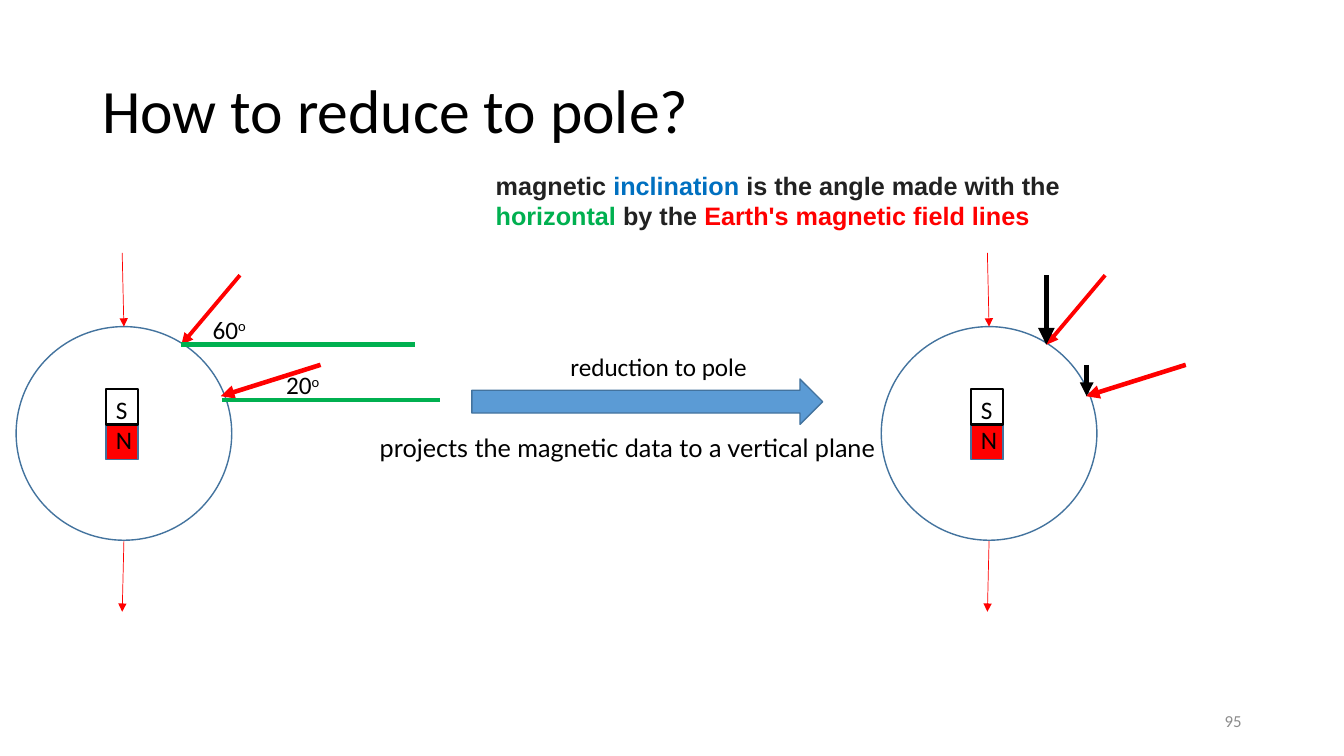
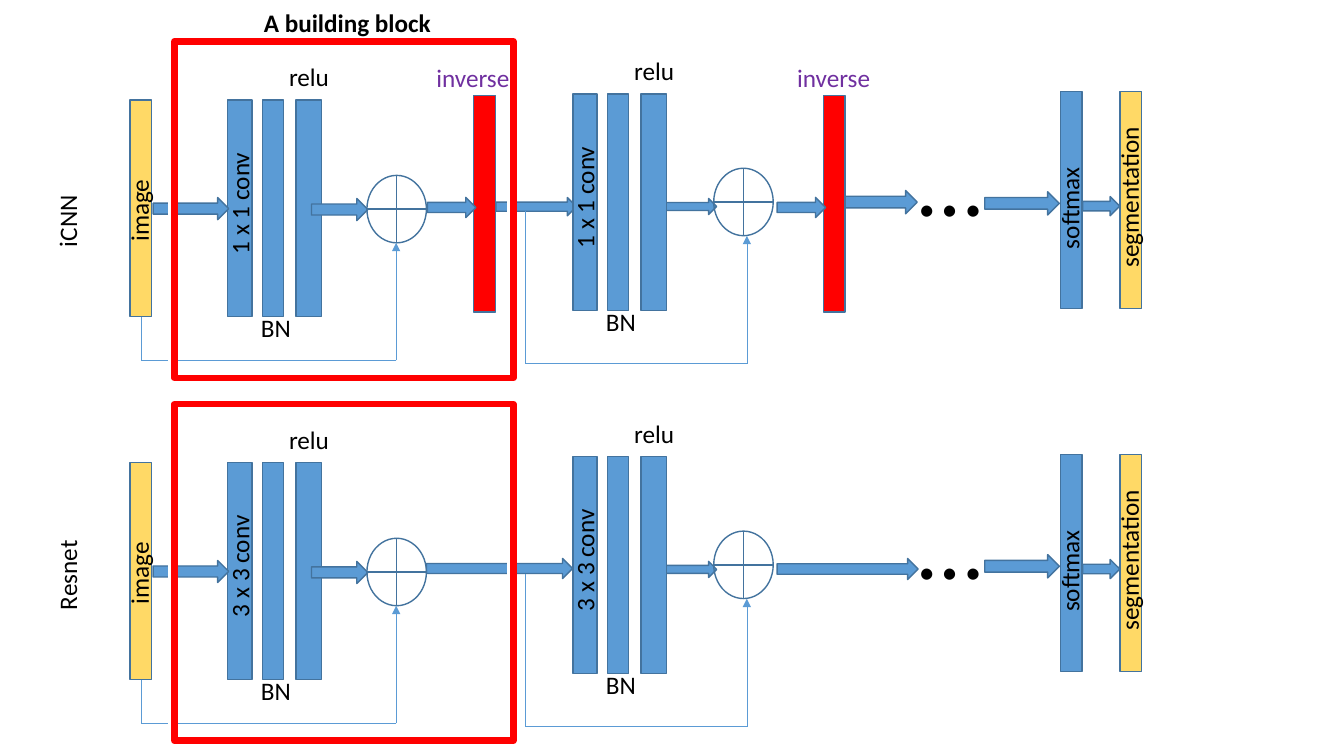
from lxml import etree
from pptx import Presentation
from pptx.dml.color import RGBColor
from pptx.enum.shapes import MSO_CONNECTOR, MSO_SHAPE
from pptx.enum.text import MSO_ANCHOR, PP_ALIGN
from pptx.oxml.ns import qn
from pptx.util import Pt

RECT = MSO_SHAPE.RECTANGLE
ARROW = MSO_SHAPE.RIGHT_ARROW
CIRCLE = MSO_SHAPE.FLOWCHART_CONNECTOR
SUM = MSO_SHAPE.FLOWCHART_OR
STRAIGHT = MSO_CONNECTOR.STRAIGHT
TOP, MIDDLE = MSO_ANCHOR.TOP, MSO_ANCHOR.MIDDLE
LEFT, RIGHT = PP_ALIGN.LEFT, PP_ALIGN.RIGHT

COLORS = {
    "black": "000000", "white": "FFFFFF", "red": "FF0000", "green": "00B050",
    "blue": "5B9BD5", "outline": "43739E", "yellow": "FFD966",
    "purple": "7030A0", "text": "222222", "inclination": "0070C0",
    "number": "8C8C8C",
}
FONT = "Calibri"
LABEL_H = 28.8
BAR_H = 154.8
FRAME = (242, 240.5)
ROW_PITCH = 259.2
EARTH_PITCH = 618


def rgb(name):
    return RGBColor.from_string(COLORS[name])


def add_shape(s, kind, x, y, w, h, fill=None, line="outline", weight=1):
    sp = s.shapes.add_shape(kind, Pt(x), Pt(y), Pt(w), Pt(h))
    sp.shadow.inherit = False
    if fill:
        sp.fill.solid()
        sp.fill.fore_color.rgb = rgb(fill)
    else:
        sp.fill.background()
    sp.line.color.rgb = rgb(line)
    sp.line.width = Pt(weight)


def add_line(s, x1, y1, x2, y2, color, weight, head=False):
    line = s.shapes.add_connector(STRAIGHT, Pt(x1), Pt(y1), Pt(x2), Pt(y2))
    line.line.color.rgb = rgb(color)
    line.line.width = Pt(weight)
    if head:
        ln = line.line._get_or_add_ln()
        etree.SubElement(ln, qn("a:tailEnd"), type="triangle")
    etree.SubElement(line._element.spPr, qn("a:effectLst"))


def add_text(s, x, y, w, h, paragraphs, size=18, color="black", font=FONT,
             bold=False, wrap=False, anchor=TOP, align=LEFT, rotation=0):
    sp = s.shapes.add_textbox(Pt(x), Pt(y), Pt(w), Pt(h))
    sp.rotation = rotation
    tf = sp.text_frame
    tf.word_wrap = wrap
    tf.vertical_anchor = anchor
    for i, text in enumerate(paragraphs):
        p = tf.paragraphs[0] if i == 0 else tf.add_paragraph()
        p.alignment = align
        p.font.size = Pt(size)
        p.font.name = font
        p.font.bold = bold
        p.font.color.rgb = rgb(color)
        p.add_run().text = text
    return tf.paragraphs[0]


def add_label(s, x, y, w, text, **style):
    return add_text(s, x, y, w, LABEL_H, [text], **style)


def add_vertical_label(s, x, y, w, text):
    add_label(s, x, y, w, text, rotation=270)


def add_title(s, text):
    p = add_text(s, 66, 28.8, 828, 104.4, [text], size=44, wrap=True,
                 anchor=MIDDLE)
    p.line_spacing = 0.9


def add_number(s, number):
    add_label(s, 678, 500.4, 216, number, size=12, color="number", wrap=True,
              anchor=MIDDLE, align=RIGHT)


def add_definition(s):
    p = add_text(s, 347, 118, 480, 51, ["magnetic "], color="text",
                 font="Arial", bold=True, wrap=True)
    for text, color in (("inclination", "inclination"),
                        (" is the angle made with the ", "text"),
                        ("horizontal", "green"),
                        (" by the ", "text"),
                        ("Earth's magnetic field lines", "red")):
        r = p.add_run()
        r.text = text
        r.font.color.rgb = rgb(color)


def add_angle(s, x, y, degrees):
    r = add_label(s, x, y, 39.6, degrees).add_run()
    r.text = "o"
    r.font._element.set("baseline", "30000")


def add_earth(s, dx):
    add_shape(s, CIRCLE, dx + 11.5, 233.3, 154, 152.6)
    add_shape(s, RECT, dx + 75.6, 303.1, 23, 25.2, "red")
    add_text(s, dx + 75.6, 278, 26, 51, ["S", "N"])
    add_shape(s, RECT, dx + 75.6, 277.9, 23, 25.2, None, "black", 1.75)
    for x1, y1, x2, y2, weight in ((88.5, 386.5, 87.3, 437, 0.5),
                                   (87.3, 180.7, 88.5, 233.3, 0.5),
                                   (229, 260.6, 157.7, 283, 3.25),
                                   (171.4, 196.6, 129.6, 246.2, 2.75)):
        add_line(s, dx + x1, y1, dx + x2, y2, "red", weight, head=True)


def add_pole_slide(prs):
    s = prs.slides.add_slide(prs.slide_layouts[6])
    add_title(s, "How to reduce to pole?")
    add_number(s, "95")
    add_definition(s)
    for dx in (0, EARTH_PITCH):
        add_earth(s, dx)
    for x1, x2, y in ((158.4, 314.6, 285.8), (129.6, 296.6, 246.2)):
        add_line(s, x1, y, x2, y, "green", 3.25)
    add_angle(s, 144.7, 221, "60")
    add_angle(s, 197.3, 260.6, "20")
    add_shape(s, ARROW, 337, 270.7, 250.6, 32.4, "blue")
    add_label(s, 400.3, 247.7, 142.6, "reduction to pole")
    add_label(s, 264.2, 305.3, 525.6,
              "projects the magnetic data to a vertical plane",
              font="Lato", wrap=True)
    for x, y1, y2, weight in ((747.4, 196.6, 246.2, 4),
                              (776.2, 260.6, 283, 3.25)):
        add_line(s, x, y1, x, y2, "black", weight, head=True)


def add_block(s, x, y, kernel):
    for dx, w in ((0, 17.3), (24.8, 15), (48.8, 18.2)):
        add_shape(s, RECT, x + dx, y, w, BAR_H, "blue")
    add_label(s, x + 16.6, y + 148.3, 36, "BN")
    add_label(s, x + 36.7, y - 31, 43.2, "relu")
    add_vertical_label(s, x - 35.6, y + 59, 87.8, kernel)


def add_skip(s, start_x, start_y, end_x, end_y, low_y):
    add_line(s, end_x, low_y, end_x, end_y, "blue", 0.5, head=True)
    add_line(s, end_x, low_y, start_x, low_y, "blue", 0.5)
    add_line(s, start_x, low_y, start_x, start_y, "blue", 0.5)


def add_network(s, dy, name, kernel, links):
    add_block(s, 162.7, dy + 71.3, kernel)
    for x, y, w, h in ((109.4, 141.1, 54, 15.8), (222.5, 141.8, 40.3, 15.8),
                       (475.2, 141.8, 36.7, 11.5), (703.4, 137, 53.3, 16.6),
                       (773.3, 140.4, 26.6, 13.7), *links):
        add_shape(s, ARROW, x, dy + y, w, h, "blue")
    for x, y in ((262.1, 125.3), (509.8, 120.2)):
        add_shape(s, SUM, x, dy + y, 42.5, 48.2)
    add_skip(s, 100.8, dy + 226.1, 283, dy + 173.5, dy + 257.4)
    add_skip(s, 375.5, dy + 150.5, 533.5, dy + 168.5, dy + 259.9)
    add_shape(s, RECT, 122.4, dy + 30.2, *FRAME, None, "white", 4.75)
    add_block(s, 409.2, dy + 67, kernel)
    add_text(s, 648.7, dy + 85, 60.5, 87, ["…"], size=66)
    add_shape(s, RECT, 124.6, dy + 29.5, *FRAME, None, "red", 4.75)
    for x, y, fill, text, w, text_y in (
            (92.9, 71.3, "yellow", "image", 59.8, 135.4),
            (757.4, 65.5, "blue", "softmax", 73.4, 133.9),
            (799.9, 65.5, "yellow", "segmentation", 115.9, 126)):
        add_shape(s, RECT, x, dy + y, 15.4, BAR_H, fill)
        add_vertical_label(s, x + 6.4 - w / 2, dy + text_y, w, text)
    add_vertical_label(s, 15.6, dy + 136.8, 64.8, name)


def add_inverse(s, x, label_x):
    add_shape(s, RECT, x, 68, 15.4, BAR_H, "red")
    add_shape(s, ARROW, x - 33.1, 141, 34.6, 14.4, "blue")
    add_label(s, label_x, 40.7, 67, "inverse", color="purple")


def add_network_slide(prs):
    s = prs.slides.add_slide(prs.slide_layouts[6])
    add_network(s, 0, "iCNN", "1 x 1 conv",
                [(354.2, 141.1, 57.6, 13), (601.9, 136.1, 53.3, 16.6)])
    for x, label_x in ((338.4, 304.6), (588.2, 562.3)):
        add_inverse(s, x, label_x)
    add_label(s, 181.4, 1.4, 139, "A building block", bold=True)
    add_network(s, ROW_PITCH, "Resnet", "3 x 3 conv",
                [(304.6, 139.7, 104.4, 14.4), (555.1, 139.7, 100.8, 15.1)])


def main():
    prs = Presentation()
    prs.slide_width, prs.slide_height = Pt(960), Pt(540)
    add_pole_slide(prs)
    add_network_slide(prs)
    prs.save("out.pptx")


if __name__ == "__main__":
    main()
